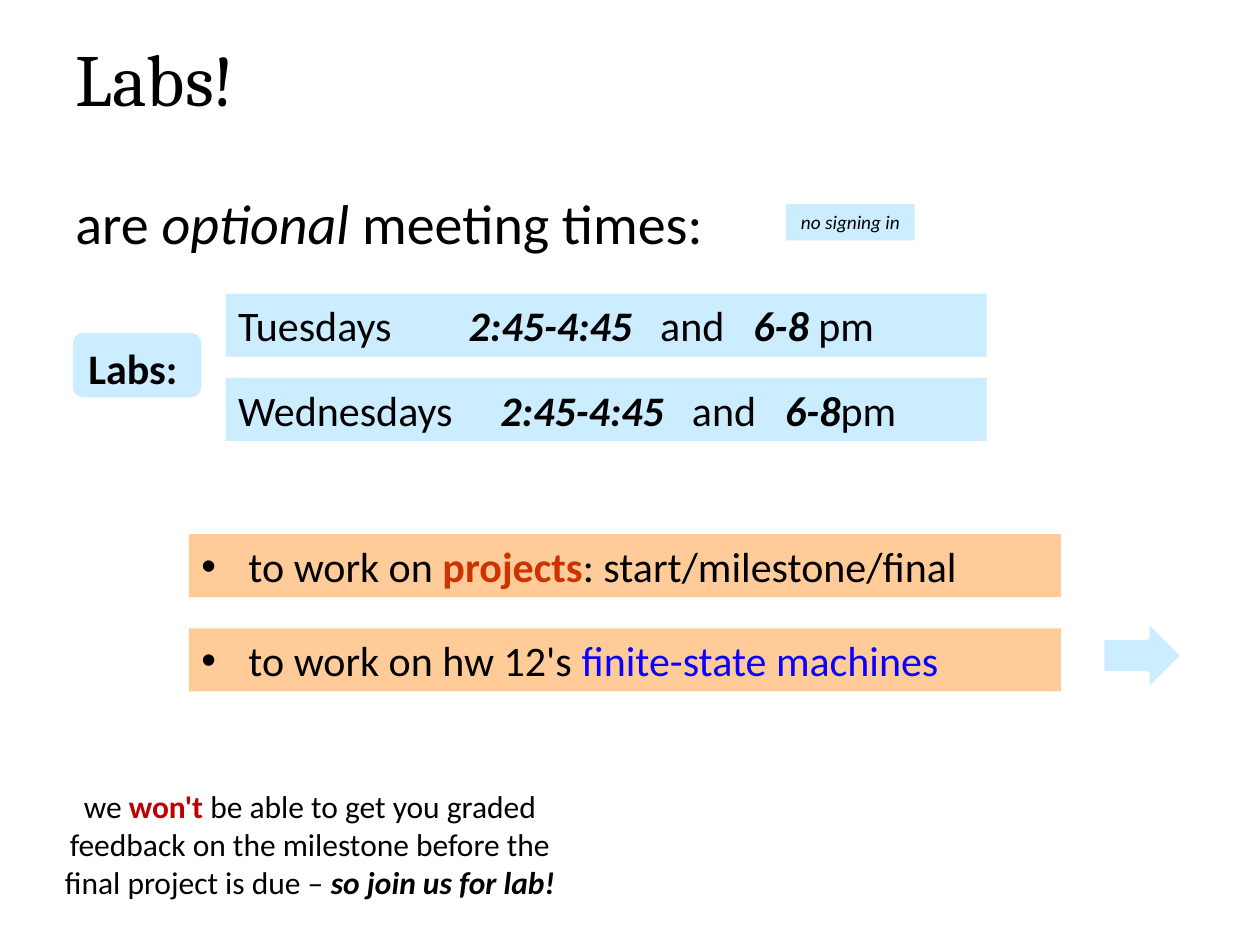
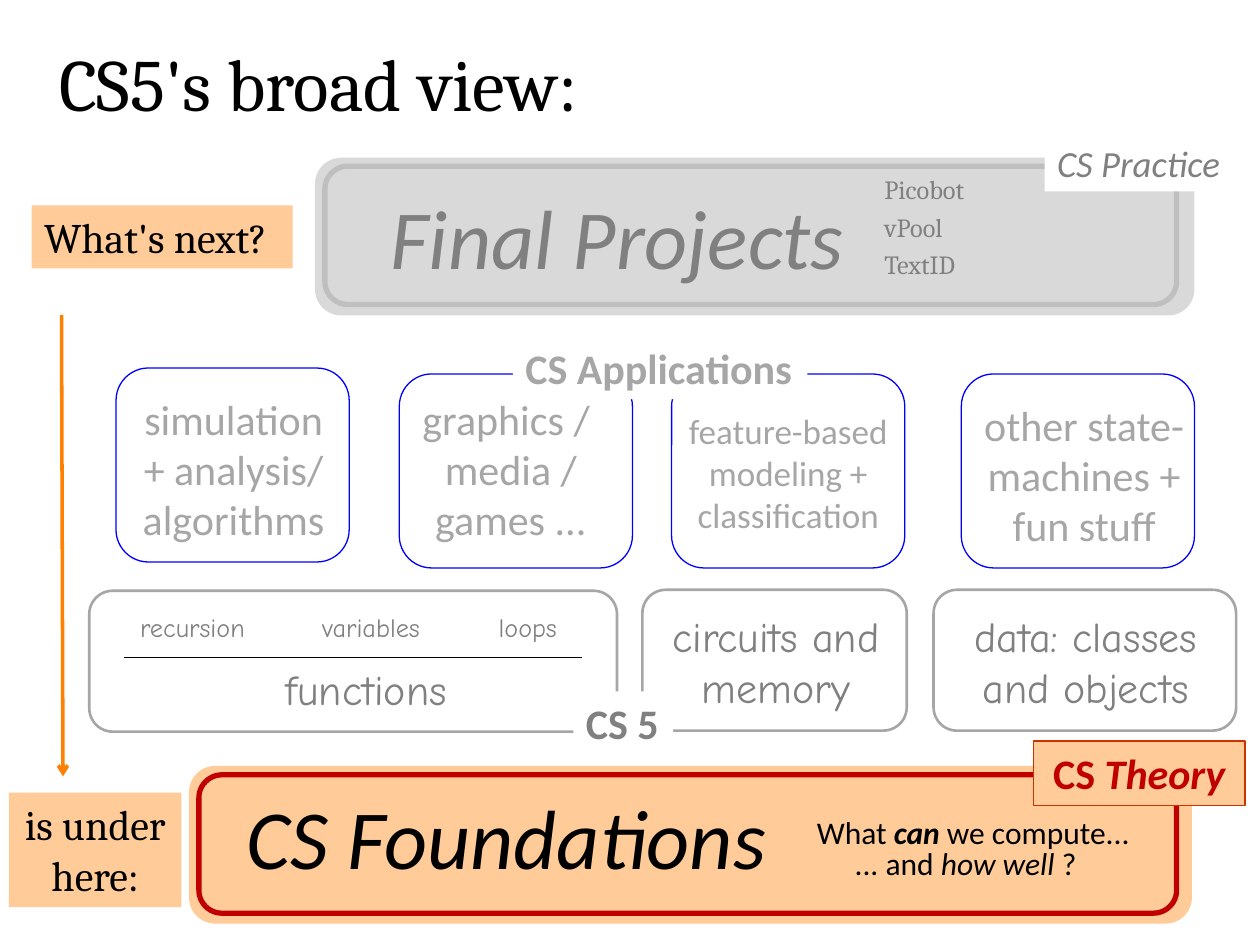
from lxml.etree import SubElement
from pptx import Presentation
from pptx.dml.color import RGBColor
from pptx.enum.shapes import MSO_CONNECTOR, MSO_SHAPE
from pptx.enum.text import MSO_ANCHOR, MSO_AUTO_SIZE, PP_ALIGN
from pptx.oxml.ns import qn
from pptx.util import Cm, Pt

BLACK = RGBColor(0x00, 0x00, 0x00)
WHITE = RGBColor(0xFF, 0xFF, 0xFF)
SKY = RGBColor(0xCC, 0xEC, 0xFF)
PEACH = RGBColor(0xFF, 0xCC, 0x99)
RUST = RGBColor(0xCC, 0x33, 0x00)
RED = RGBColor(0xC0, 0x00, 0x00)
ORANGE = RGBColor(0xFF, 0x80, 0x00)
BLUE = RGBColor(0x00, 0x00, 0xFF)
LINK = RGBColor(0x09, 0x00, 0xFF)
GRAY = RGBColor(0x80, 0x80, 0x80)
SILVER = RGBColor(0xA6, 0xA6, 0xA6)
PALE = RGBColor(0xBF, 0xBF, 0xBF)
MIST = RGBColor(0xD9, 0xD9, 0xD9)

SANS, SERIF, COMIC = "Calibri", "Cambria", "Comic Neue"
LEFT, MID = PP_ALIGN.LEFT, PP_ALIGN.CENTER
RECT, ROUND = MSO_SHAPE.RECTANGLE, MSO_SHAPE.ROUNDED_RECTANGLE


def write(shape, lines, size=24, font=SANS, color=BLACK, align=LEFT, wrap=True):
    frame = shape.text_frame
    frame.word_wrap = wrap
    frame.auto_size = MSO_AUTO_SIZE.NONE
    frame.vertical_anchor = MSO_ANCHOR.TOP
    for i, runs in enumerate(lines):
        para = frame.add_paragraph() if i else frame.paragraphs[0]
        para.alignment = align
        if i:
            para.space_before = Pt(size / 2)
        for text, style, *tint in runs:
            if text == "\n":
                para.add_line_break()
                continue
            run = para.add_run()
            run.text = text
            run.font.name = font
            run.font.size = Pt(size)
            run.font.bold = "b" in style
            run.font.italic = "i" in style
            run.font.color.rgb = tint[0] if tint else color
    return frame.paragraphs


def place(slide, at, kind=None, fill=None, line=None, width=0.75):
    spot = [Cm(n) for n in at]
    if kind is None:
        return slide.shapes.add_textbox(*spot)
    shape = slide.shapes.add_shape(kind, *spot)
    shape.shadow.inherit = False
    if fill is None:
        shape.fill.background()
    else:
        shape.fill.solid()
        shape.fill.fore_color.rgb = fill
    if line is None:
        shape.line.fill.background()
    else:
        shape.line.color.rgb = line
        shape.line.width = Pt(width)
    return shape


deck = Presentation()
deck.slide_width, deck.slide_height = Cm(25.4), Cm(19.05)

pages = []
for text, at in [
    ("Labs!", (1.27, 0.53, 15.88, 2.03)),
    ("CS5's broad view:", (0.94, 0.64, 20.12, 2.06)),
]:
    page = deck.slides.add_slide(deck.slide_layouts[5])
    title = page.shapes.title
    title.left, title.top, title.width, title.height = [Cm(n) for n in at]
    write(title, [[(text, "")]], 42, SERIF)
    pages.append(page)
labs, view = pages

lead = place(labs, (1.27, 3.68, 21.39, 1.63))
write(lead, [[("are ", ""), ("optional", "i"), (" meeting times:", "")]], 32)
note = place(labs, (15.85, 4.11, 2.59, 0.74), RECT, SKY)
write(note, [[("no signing in", "i")]], 11, align=MID)
tag = place(labs, (1.47, 6.71, 2.59, 1.3), ROUND, SKY)
write(tag, [[("Labs:", "b")]])

days = [("Tuesdays", "6-8 ", 0), ("Wednesdays", "6-8", 0.64)]
for i, (day, late, shift) in enumerate(days):
    row = place(labs, (4.55, 5.92 + 1.7 * i, 15.34, 1.27), RECT, SKY)
    runs = [(day + "\t", ""), ("2:45-4:45", "bi"), ("\tand\t", ""),
            (late, "bi"), ("pm", "")]
    para = write(row, [runs])[0]
    tabs = SubElement(para._p.get_or_add_pPr(), qn("a:tabLst"))
    for stop in (4.65, 8.51, 10.39):
        SubElement(tabs, qn("a:tab"), pos=str(Cm(stop + shift)), algn="l")

tasks = [
    [("to work on ", ""), ("projects", "b", RUST), (": start/milestone/final", "")],
    [("to work on hw 12's ", ""), ("finite-state machines", "", LINK)],
]
for i, runs in enumerate(tasks):
    row = place(labs, (3.81, 10.77 + 1.9 * i, 17.58, 1.27), RECT, PEACH)
    props = write(row, [runs])[0]._p.get_or_add_pPr()
    props.set("marL", str(Cm(0.95)))
    props.set("indent", str(-Cm(0.95)))
    SubElement(props, qn("a:buFont"), typeface="Arial")
    SubElement(props, qn("a:buChar"), char="•")

place(labs, (22.21, 12.48, 1.65, 1.47), MSO_SHAPE.RIGHT_ARROW, SKY, WHITE, 3)
plea = place(labs, (0.84, 15.75, 10.82, 2.57))
write(plea, [[
    ("we ", ""), ("won't", "b", RED),
    (" be able to get you graded feedback on the milestone before the "
     "final project is due – ", ""),
    ("so join us for lab!", "bi"),
]], 18, align=MID)

banners = [
    ("Final Projects", GRAY, (7.57, 3.61, 9.75, 2.31), MIST,
     (6.35, 3.18, 17.73, 3.18), PALE, (6.55, 3.35, 17.17, 2.79)),
    ("CS Foundations", BLACK, (4.45, 15.72, 11.51, 2.31), PEACH,
     (3.81, 15.44, 20.22, 3.18), RED, (4.01, 15.62, 19.71, 2.79)),
]
for text, color, spot, fill, outer, edge, inner in banners:
    place(view, outer, ROUND, fill)
    place(view, inner, ROUND, line=edge, width=3)
    write(place(view, spot), [[(text, "i")]], 48, color=color, align=MID, wrap=False)

apps = [
    (2.34, 7.42, (2.54, 7.8, 4.34, 3.33), 24,
     ["simulation", "\n", "+ analysis/ algorithms"]),
    (8.05, 7.54, (8.13, 7.8, 4.34, 3.33), 24,
     ["graphics / ", "\n", "media / games ..."]),
    (13.54, 7.54, (13.59, 8.13, 4.6, 2.82), 20,
     ["feature-based modeling + classification"]),
    (19.38, 7.54, (19.3, 7.92, 5.11, 3.33), 24,
     ["other state-machines + fun stuff"]),
]
for left, top, spot, size, parts in apps:
    place(view, (left, top, 4.7, 3.91), ROUND, line=BLUE)
    runs = [(part, "") for part in parts]
    write(place(view, spot), [runs], size, color=SILVER, align=MID)

for left, top, width in [(1.8, 11.91, 10.64), (12.95, 11.89, 5.33), (18.82, 11.89, 6.1)]:
    place(view, (left, top, width, 2.84), ROUND, line=SILVER, width=1.5)

for text, size, at in [
    ("recursion", 15, (2.29, 12.19, 3.18, 0.89)),
    ("variables", 15, (5.89, 12.19, 3.18, 0.89)),
    ("loops", 15, (9.47, 12.19, 2.34, 0.89)),
    ("functions", 24, (4.83, 13.26, 5.11, 1.3)),
    ("circuits and memory", 24, (12.45, 12.19, 6.38, 2.31)),
    ("data: classes and objects", 24, (19, 12.19, 5.77, 2.31)),
]:
    write(place(view, at), [[(text, "")]], size, COMIC, GRAY, MID)

for ends, color, width, head in [
    ((2.49, 13.26, 11.73, 13.26), BLACK, 0.75, False),
    ((1.24, 6.35, 1.27, 15.65), ORANGE, 2, True),
]:
    link = view.shapes.add_connector(MSO_CONNECTOR.STRAIGHT, *[Cm(n) for n in ends])
    link.line.color.rgb = color
    link.line.width = Pt(width)
    if head:
        SubElement(link.line._get_or_add_ln(), qn("a:tailEnd"), type="arrow")
    SubElement(link._element.spPr, qn("a:effectLst"))

for text, style, size, color, at, wrap in [
    ("CS Applications", "b", 24, SILVER, (10.34, 6.78, 5.94, 1.27), False),
    ("CS 5", "b", 24, GRAY, (11.56, 13.94, 2.01, 1.3), False),
    ("CS Practice", "i", 21, GRAY, (21.06, 2.72, 4.09, 1.14), True),
]:
    tag = place(view, at, RECT, WHITE)
    write(tag, [[(text, style)]], size, color=color, wrap=wrap)

tag = place(view, (20.83, 14.94, 4.27, 1.3), RECT, PEACH, RUST)
write(tag, [[("CS ", "b"), ("Theory", "bi")]], color=RED, align=MID)

for text, at, align in [
    ("What's next?", (0.64, 4.14, 5.26, 1.27), LEFT),
    ("is under here:", (0.18, 15.98, 3.48, 2.31), MID),
]:
    write(place(view, at, RECT, PEACH), [[(text, "")]], font=SERIF, align=align)

names = place(view, (17.58, 3.51, 2.24, 2.39))
lines = [[(name, "")] for name in ("Picobot", "vPool", "TextID")]
for para in write(names, lines, 15, SERIF, GRAY, wrap=False):
    para.line_spacing = Pt(14)

for runs, at in [
    ([("What ", ""), ("can ", "bi"), ("we compute...", "")], (16.18, 16.26, 6.88, 1.02)),
    ([("... and ", ""), ("how well ", "i"), ("?", "")], (16.94, 16.89, 5.05, 1.02)),
]:
    write(place(view, at), [runs], 18, align=MID, wrap=False)

deck.save("out.pptx")
